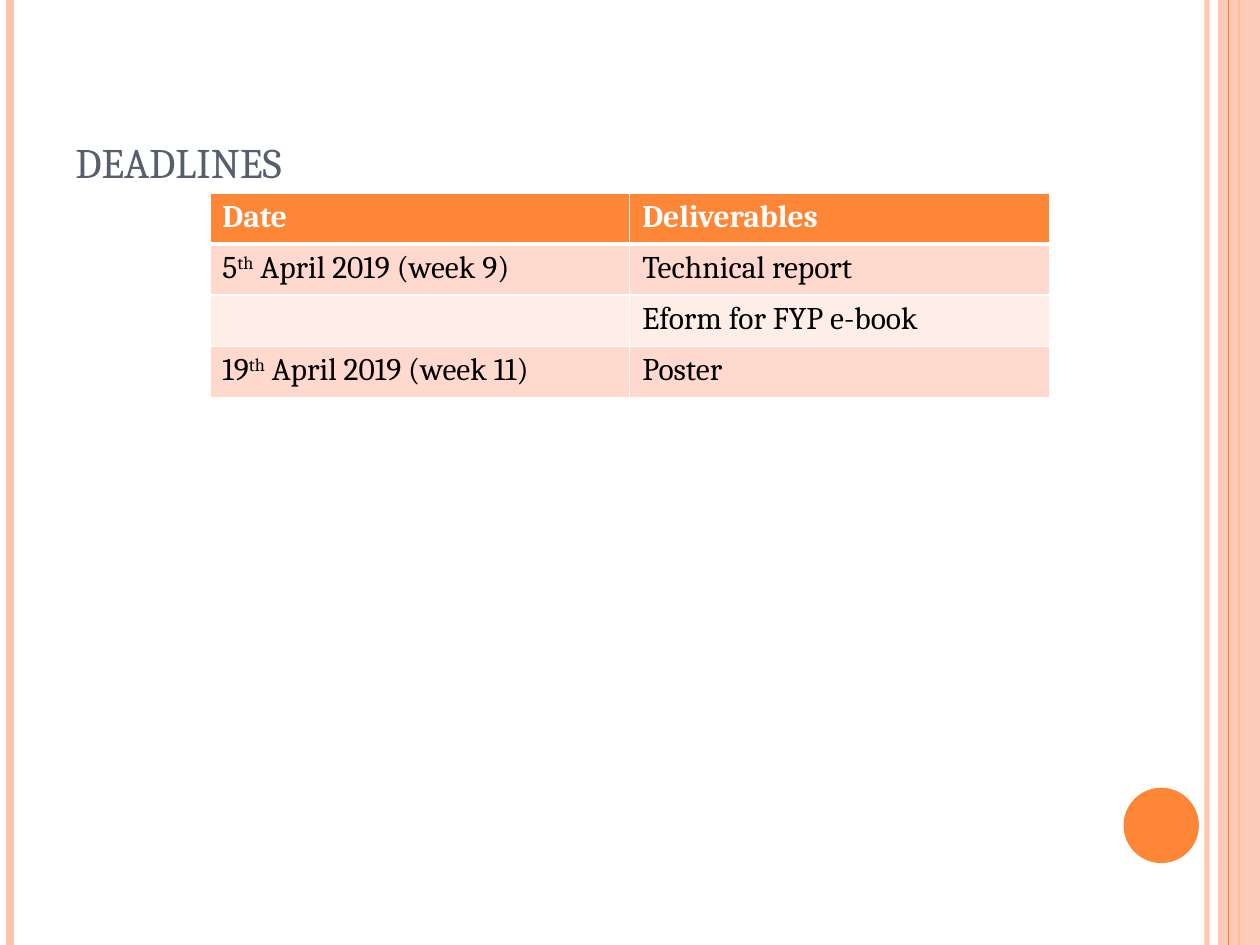
import pptx
import pptx.util
import pptx.dml.color
import pptx.enum.shapes
import pptx.enum.text
import pptx.oxml.ns
import lxml.etree

Cm, Pt = pptx.util.Cm, pptx.util.Pt
qn = pptx.oxml.ns.qn
SHAPE = pptx.enum.shapes.MSO_SHAPE

FONT = "Cambria"
COLORS = {
    "orange": "FE8637",
    "peach": "FEC3AE",
    "title": "575F6D",
    "white": "FFFFFF",
    "black": "000000",
    "band_dark": "FFD9CE",
    "band_light": "FFEDE8",
}
SLIDE_WIDTH, SLIDE_HEIGHT = Cm(25.4), Cm(19.05)

# Each cell is a list of (text, is superscript) pieces
DEADLINES = [
    [[("Date", False)], [("Deliverables", False)]],
    [[("5", False), ("th", True), (" April 2019 (week 9)", False)],
     [("Technical report", False)]],
    [[], [("Eform for FYP e-book", False)]],
    [[("19", False), ("th", True), (" April 2019 (week 11)", False)],
     [("Poster", False)]],
]


def rgb(name):
    return pptx.dml.color.RGBColor.from_string(COLORS[name])


def set_opacity(parent, percent):
    color = next(parent.iter(qn("a:srgbClr")))
    lxml.etree.SubElement(color, qn("a:alpha"), val=str(percent * 1000))


def style_run(run, size, color, bold=False):
    run.font.name = FONT
    run.font.size = Pt(size)
    run.font.bold = bold
    run.font.color.rgb = rgb(color)


def add_stripe(slide, x, color, width, opacity=100):
    """Full-height vertical line."""
    stripe = slide.shapes.add_connector(
        pptx.enum.shapes.MSO_CONNECTOR.STRAIGHT, x, 0, x, SLIDE_HEIGHT)
    stripe.line.color.rgb = rgb(color)
    stripe.line.width = Pt(width)
    properties = stripe.line._get_or_add_ln().getparent()
    if opacity < 100:
        set_opacity(properties, opacity)
    lxml.etree.SubElement(properties, qn("a:effectLst"))


def add_block(slide, preset, left, top, width, height, color, opacity=100):
    """Filled shape without outline."""
    block = slide.shapes.add_shape(preset, left, top, width, height)
    block.shadow.inherit = False
    block.fill.solid()
    block.fill.fore_color.rgb = rgb(color)
    block.line.fill.background()
    if opacity < 100:
        set_opacity(block._element.spPr, opacity)


def add_title(slide, text):
    title = slide.shapes.add_textbox(Cm(1.27), Cm(0.76), Cm(20.75), Cm(3.18))
    frame = title.text_frame
    frame.word_wrap = True
    frame.vertical_anchor = pptx.enum.text.MSO_ANCHOR.BOTTOM
    frame.text = text
    run = frame.paragraphs[0].runs[0]
    style_run(run, 30, "title")
    run.font._element.set("cap", "small")


def set_borders(cell, widths):
    """Draw white borders; widths maps a side (L, R, T, B) to points."""
    properties = cell._tc.get_or_add_tcPr()
    for position, side in enumerate("LRTB"):
        line = lxml.etree.Element(qn(f"a:ln{side}"), w=str(Pt(widths[side])))
        fill = lxml.etree.SubElement(line, qn("a:solidFill"))
        lxml.etree.SubElement(fill, qn("a:srgbClr"), val=COLORS["white"])
        properties.insert(position, line)


def fill_cell(cell, pieces, row):
    is_header = row == 0
    band = "band_dark" if row % 2 else "band_light"
    cell.fill.solid()
    cell.fill.fore_color.rgb = rgb("orange" if is_header else band)
    set_borders(cell, {"L": 1, "R": 1,
                       "T": 3 if row == 1 else 1,
                       "B": 3 if is_header else 1})
    for text, superscript in pieces:
        run = cell.text_frame.paragraphs[0].add_run()
        run.text = text
        style_run(run, 18, "white" if is_header else "black", is_header)
        if superscript:
            run.font._element.set("baseline", "30000")


def add_deadline_table(slide, rows):
    row_height = Cm(1.03)
    table = slide.shapes.add_table(
        len(rows), len(rows[0]), Cm(4.23), Cm(3.89),
        Cm(16.93), row_height * len(rows)).table
    for row, cells in enumerate(rows):
        table.rows[row].height = row_height
        for column, pieces in enumerate(cells):
            fill_cell(table.cell(row, column), pieces, row)


def main():
    deck = pptx.Presentation()
    deck.slide_width, deck.slide_height = SLIDE_WIDTH, SLIDE_HEIGHT
    slide = deck.slides.add_slide(deck.slide_layouts[6])

    # Side decoration
    add_stripe(slide, Cm(24.33), "peach", 3, opacity=93)
    add_stripe(slide, Cm(0.21), "peach", 4.5)
    add_stripe(slide, Cm(24.98), "orange", 1.5)
    add_block(slide, SHAPE.RECTANGLE, Cm(24.55), 0, Cm(0.85), SLIDE_HEIGHT,
              "peach", opacity=87)
    add_stripe(slide, Cm(24.77), "orange", 0.75)
    add_block(slide, SHAPE.OVAL, Cm(22.65), Cm(15.88), Cm(1.52), Cm(1.52),
              "orange")

    # Content
    add_title(slide, "deadlines")
    add_deadline_table(slide, DEADLINES)

    deck.save("out.pptx")


if __name__ == "__main__":
    main()
